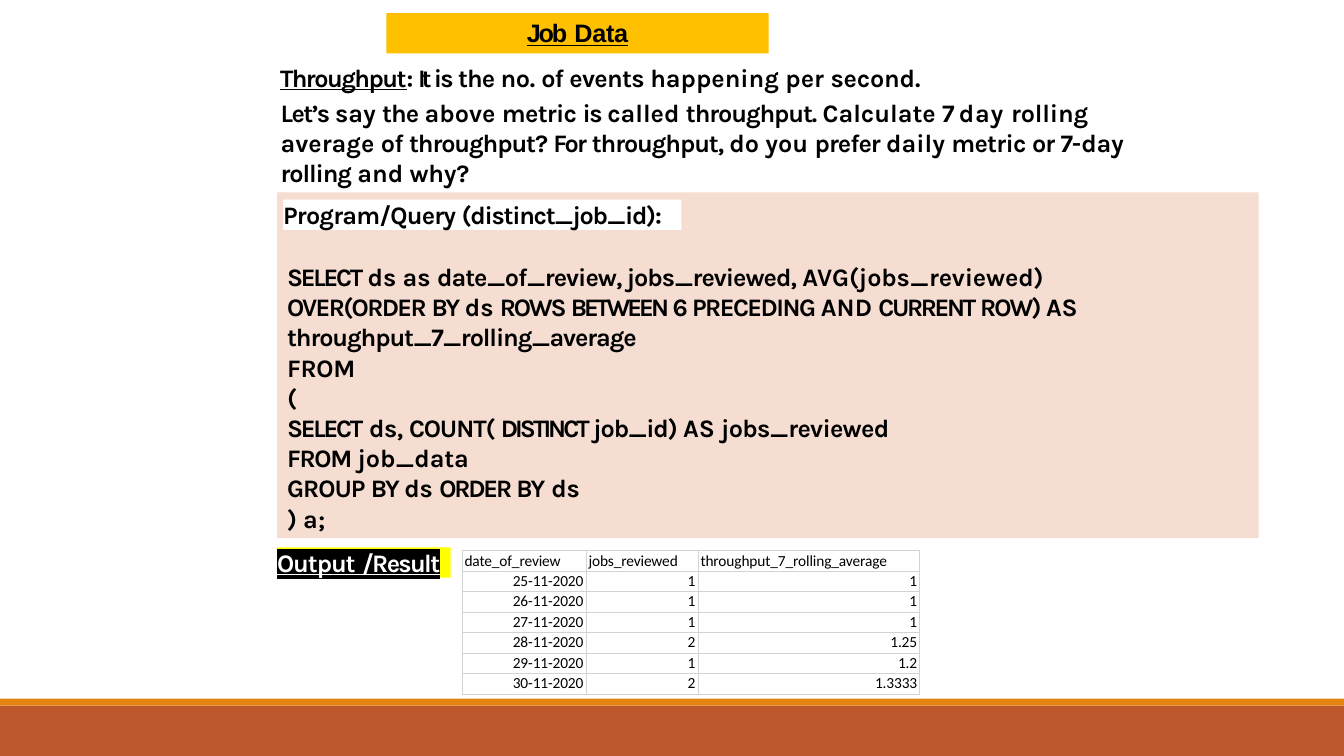
from lxml import etree
from pptx import Presentation
from pptx.dml.color import RGBColor
from pptx.enum import shapes, text
from pptx.oxml import ns
from pptx.util import Pt

COLORS = {"black": "000000", "white": "FFFFFF", "gold": "FFC000", "yellow": "FFFF00",
          "peach": "F5DDD2", "rust": "BD582C", "orange": "E48312", "grid": "D3D3D3"}


def write(para, runs, font="Karla", size=18, bold=True, color="black", underlined=0,
          highlight=None, align=None, line=None):
    """Write (words, letter spacing) runs; the first `underlined` runs are underlined."""
    para.alignment = align
    if line:
        para.line_spacing = Pt(line)
    for index, (words, spacing) in enumerate(runs):
        span = para.add_run()
        span.text = words
        span.font.name, span.font.size, span.font.bold = font, Pt(size), bold
        span.font.underline = index < underlined
        span.font.color.rgb = RGBColor.from_string(COLORS[color])
        props = span._r.get_or_add_rPr()
        props.set("spc", str(round(spacing * 100)))
        if highlight:
            mark = etree.Element(ns.qn("a:highlight"))
            etree.SubElement(mark, ns.qn("a:srgbClr"), val=COLORS[highlight])
            props.find(ns.qn("a:solidFill")).addnext(mark)


def add_panel(left, top, width, height, fill=None, inset_left=0, inset_top=0, inset_right=0):
    """Add a rectangle, or a plain text box if there is no fill."""
    bounds = Pt(left), Pt(top), Pt(width), Pt(height)
    if fill:
        box = page.shapes.add_shape(shapes.MSO_SHAPE.RECTANGLE, *bounds)
        box.shadow.inherit = False
        box.fill.solid()
        box.fill.fore_color.rgb = RGBColor.from_string(COLORS[fill])
        box.line.fill.background()
    else:
        box = page.shapes.add_textbox(*bounds)
    frame = box.text_frame
    frame.word_wrap = True
    frame.vertical_anchor = text.MSO_ANCHOR.TOP
    frame.margin_left, frame.margin_top = Pt(inset_left), Pt(inset_top)
    frame.margin_right, frame.margin_bottom = Pt(inset_right), 0
    frame.paragraphs[0].alignment = text.PP_ALIGN.LEFT
    return frame


deck = Presentation()
deck.slide_width, deck.slide_height = Pt(960), Pt(540)
page = deck.slides.add_slide(deck.slide_layouts[6])
LEFT, RIGHT, CENTER = text.PP_ALIGN.LEFT, text.PP_ALIGN.RIGHT, text.PP_ALIGN.CENTER

# Footer bands
add_panel(0, 504, 960, 36, "rust")
add_panel(0, 499, 960, 5, "orange")

# Query, one paragraph per line
query = [
    [("SELECT ", -1.6), ("ds as ", 0), ("date_of_review, jobs_reviewed, ", -0.7),
     ("AVG(jobs_reviewed)", -0.1)],
    [("OVER(ORDER ", -1.2), ("BY ", -1.5), ("ds ", 0), ("ROWS ", -1.6), ("BETWEEN ", -2.1),
     ("6 ", -1.6), ("PRECEDING ", -1.1), ("AND ", 0), ("CURRENT ", -1.7), ("ROW) ", -1.4),
     ("AS", -0.2)],
    [("throughput_7_rolling_average", -0.8)],
    [("FROM", -0.2)],
    [("(", -0.5)],
    [("SELECT", -1.6), (" ds, ", -0.4), ("COUNT( ", -0.8), ("DISTINCT ", -2.1),
     ("job_id) ", -0.8), ("AS ", -0.1), ("jobs_reviewed", -0.5)],
    [("FROM ", -0.9), ("job_data", -0.1)],
    [("GROUP ", -0.7), ("BY ", -1.5), ("ds ", 0), ("ORDER ", -1.6), ("BY", -1.5), (" ds", -0.2)],
    [(")", -1.3), (" a;", -0.2)],
]
frame = add_panel(198, 137.5, 701, 247, "peach", inset_left=7.2, inset_top=49)
for index, runs in enumerate(query):
    para = frame.add_paragraph() if index else frame.paragraphs[0]
    write(para, runs, align=LEFT)

# Title
frame = add_panel(276, 9.4, 273, 28.8, "gold", inset_top=3)
write(frame.paragraphs[0], [("Job", -1.6), (" ", 0.1), ("Data", -0.2)], font="Arial",
      underlined=3, align=CENTER)

# Query heading
frame = add_panel(202.3, 142.6, 284.4, 21.6, "white")
write(frame.paragraphs[0], [("Program/Query ", -0.6), ("(distinct_job_id):", -0.9)],
      align=LEFT, line=21.5)

# Definition and question
frame = add_panel(200, 44.6, 494, 21.6, "white")
write(frame.paragraphs[0], [
    ("Throughput", -1.1), (": ", -1.1), ("It ", -3), ("is ", -1.3), ("the ", -0.7),
    ("no. ", -0.2), ("of", -0.8), (" events ", -0.5), ("happening per ", 0), ("second.", -0.1),
], underlined=1, align=LEFT, line=21.5)

frame = add_panel(199.5, 67.7, 654, 67, inset_left=1, inset_top=1.7, inset_right=20)
write(frame.paragraphs[0], [
    ("Let’s ", -1.1), ("say ", 0), ("the ", -0.7), ("above ", 0), ("metric ", -0.5),
    ("is ", -1.2), ("called ", 0), ("throughput. ", -0.8), ("Calculate ", 0), ("7 ", -1.6),
    ("day ", 0.5), ("rolling ", -0.1), ("average ", 0), ("of ", -0.6), ("throughput? ", -0.8),
    ("For ", -1.2), ("throughput, ", -0.8), ("do you ", 0), ("prefer ", -0.7), ("daily ", 0),
    ("metric ", -0.5), ("or ", -0.7), ("7-", -0.9), ("day ", -0.2), ("rolling ", -0.8),
    ("and ", 0), ("why?", -0.2),
], align=LEFT)

# Result table
results = [
    ("date_of_review", "jobs_reviewed", "throughput_7_rolling_average"),
    ("25-11-2020", "1", "1"),
    ("26-11-2020", "1", "1"),
    ("27-11-2020", "1", "1"),
    ("28-11-2020", "2", "1.25"),
    ("29-11-2020", "1", "1.2"),
    ("30-11-2020", "2", "1.3333"),
]
widths = [88.6, 80, 158.4]
row_height = 14.6
table = page.shapes.add_table(len(results), len(widths), Pt(330), Pt(393.5), Pt(sum(widths)),
                              Pt(row_height * len(results))).table
table.first_row = table.horz_banding = False
for column, width in zip(table.columns, widths):
    column.width = Pt(width)
for row_index, values in enumerate(results):
    table.rows[row_index].height = Pt(row_height)
    for column_index, value in enumerate(values):
        cell = table.cell(row_index, column_index)
        cell.margin_left = cell.margin_right = Pt(1.8)
        cell.margin_top, cell.margin_bottom = Pt(0.3), 0
        write(cell.text_frame.paragraphs[0], [(value, -0.1)], font="Calibri", size=11,
              bold=False, align=RIGHT if row_index else LEFT)
        props = cell._tc.get_or_add_tcPr()
        for side in ("lnL", "lnR", "lnT", "lnB"):
            border = etree.SubElement(props, ns.qn("a:" + side), w=str(Pt(0.75)))
            fill = etree.SubElement(border, ns.qn("a:solidFill"))
            etree.SubElement(fill, ns.qn("a:srgbClr"), val=COLORS["grid"])
        cell.fill.background()

# Output label
frame = add_panel(198, 391, 124, 21.6, "yellow")
write(frame.paragraphs[0], [("Output", -0.8), (" ", -0.5), ("/Result", -1.2)], color="white",
      underlined=3, highlight="black", align=LEFT)

deck.save("out.pptx")
